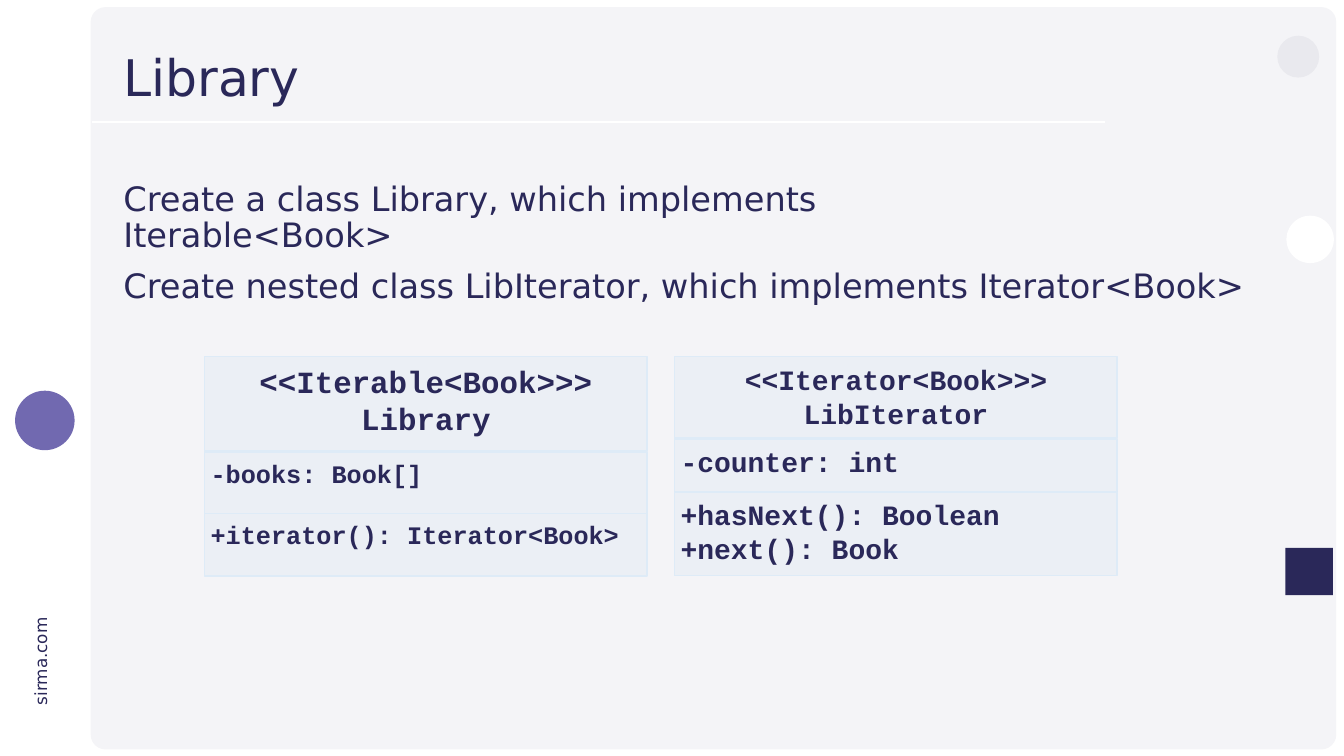
from dataclasses import dataclass

from lxml.etree import SubElement
from pptx import Presentation
from pptx.dml.color import RGBColor
from pptx.enum.shapes import MSO_CONNECTOR, MSO_SHAPE
from pptx.enum.text import MSO_ANCHOR, PP_ALIGN
from pptx.oxml.ns import qn
from pptx.util import Cm, Pt


@dataclass(frozen=True)
class Theme:
    ink: str = "2A2859"
    panel: str = "F4F4F7"
    violet: str = "7169B0"
    white: str = "FFFFFF"
    pale_dot: str = "E9E9EE"
    card_fill: str = "BDD7EE"
    card_line: str = "DEEBF7"
    card_opacity: int = 15
    body_font: str = "DejaVu Sans"
    code_font: str = "Courier New"
    title_size: int = 72
    body_size: int = 48
    site_size: int = 24


def write_text(frame, lines, size, font, color, bold=False, align=PP_ALIGN.LEFT,
               anchor=MSO_ANCHOR.TOP, wrap=True, line_spacing=None, gap=0, inset=None):
    frame.word_wrap = wrap
    frame.vertical_anchor = anchor
    if inset is not None:
        frame.margin_left = frame.margin_right = Cm(inset)
        frame.margin_top = frame.margin_bottom = Cm(inset)
    for index, line in enumerate(lines):
        paragraph = frame.paragraphs[0] if index == 0 else frame.add_paragraph()
        paragraph.text = line
        paragraph.alignment = align
        paragraph.line_spacing = line_spacing
        if index and gap:
            paragraph.space_before = Pt(gap)
        for run in paragraph.runs:
            run.font.name = font
            run.font.size = Pt(size)
            run.font.bold = bold
            run.font.color.rgb = RGBColor.from_string(color)


class SlideBuilder:
    def __init__(self, slide, theme):
        self.slide = slide
        self.theme = theme

    def shape(self, kind, left, top, width, height, fill, parent=None):
        shapes = (parent or self.slide).shapes
        shape = shapes.add_shape(kind, Cm(left), Cm(top), Cm(width), Cm(height))
        shape.shadow.inherit = False
        shape.fill.solid()
        shape.fill.fore_color.rgb = RGBColor.from_string(fill)
        shape.line.fill.background()
        return shape

    def line(self, left, top, right, color, width):
        line = self.slide.shapes.add_connector(
            MSO_CONNECTOR.STRAIGHT, Cm(left), Cm(top), Cm(right), Cm(top))
        line.line.color.rgb = RGBColor.from_string(color)
        line.line.width = Pt(width)
        SubElement(line._element.spPr, qn("a:effectLst"))

    def text(self, left, top, width, height, lines, size, rotation=0, **text_format):
        box = self.slide.shapes.add_textbox(Cm(left), Cm(top), Cm(width), Cm(height))
        box.rotation = rotation
        write_text(box.text_frame, lines, size, self.theme.body_font,
                   self.theme.ink, **text_format)

    def class_card(self, left, top, width, sections, header_gap=0.05):
        group = self.slide.shapes.add_group_shape()
        for index, (height, size, lines) in enumerate(sections):
            shape = self.shape(MSO_SHAPE.RECTANGLE, left, top, width, height,
                               self.theme.card_fill, group)
            color = shape.fill._xPr.find(qn("a:solidFill"))[0]
            SubElement(color, qn("a:alpha"), val=str(self.theme.card_opacity * 1000))
            shape.line.color.rgb = RGBColor.from_string(self.theme.card_line)
            shape.line.width = Pt(2)
            align = PP_ALIGN.LEFT if index else PP_ALIGN.CENTER
            write_text(shape.text_frame, lines, size, self.theme.code_font,
                       self.theme.ink, bold=True, align=align, inset=0.3)
            top += height + (0 if index else header_gap)


def main():
    presentation = Presentation()
    presentation.slide_width = Cm(67.72)
    presentation.slide_height = Cm(38.1)
    slide = presentation.slides.add_slide(presentation.slide_layouts[6])
    theme = Theme()
    builder = SlideBuilder(slide, theme)

    panel = builder.shape(MSO_SHAPE.ROUNDED_RECTANGLE, 4.57, 0.36, 62.76, 37.41, theme.panel)
    panel.adjustments[0] = 0.02
    builder.text(-0.46, 32.66, 5, 1.27, ["sirma.com"], theme.site_size,
                 rotation=270, wrap=False)
    builder.shape(MSO_SHAPE.OVAL, 64.36, 1.8, 2.11, 2.11, theme.pale_dot)
    builder.shape(MSO_SHAPE.RECTANGLE, 4.65, 1.35, 46.58, 6.05, theme.panel)
    builder.line(4.65, 6.17, 55.7, theme.white, 3)
    builder.shape(MSO_SHAPE.RECTANGLE, 64.77, 27.61, 2.39, 2.39, theme.ink)
    builder.shape(MSO_SHAPE.OVAL, 0.76, 19.69, 3, 3, theme.violet)
    builder.shape(MSO_SHAPE.OVAL, 64.82, 10.87, 2.39, 2.39, theme.white)

    builder.text(5.97, 9.07, 58.39, 26.21, [
        "Create a class Library, which implements \vIterable<Book>",
        "Create nested class LibIterator, which implements Iterator<Book>",
    ], theme.body_size, line_spacing=0.9, gap=20)
    builder.text(5.97, 2.03, 49.71, 4.01, ["Library"], theme.title_size,
                 anchor=MSO_ANCHOR.MIDDLE, line_spacing=0.9)

    cards = [
        (33.99, [
            (4.09, 40, ["<<Iterator<Book>>>", "LibIterator"]),
            (2.67, 40, ["-counter: int"]),
            (4.22, 40, ["+hasNext(): Boolean", "+next(): Book"]),
        ]),
        (10.31, [
            (4.75, 44, ["<<Iterable<Book>>>", "Library"]),
            (3.1, 36, ["-books: Book[]"]),
            (3.15, 36, ["+iterator(): Iterator<Book>"]),
        ]),
    ]
    for left, sections in cards:
        builder.class_card(left, 17.98, 22.3, sections)

    presentation.save("out.pptx")


if __name__ == "__main__":
    main()
